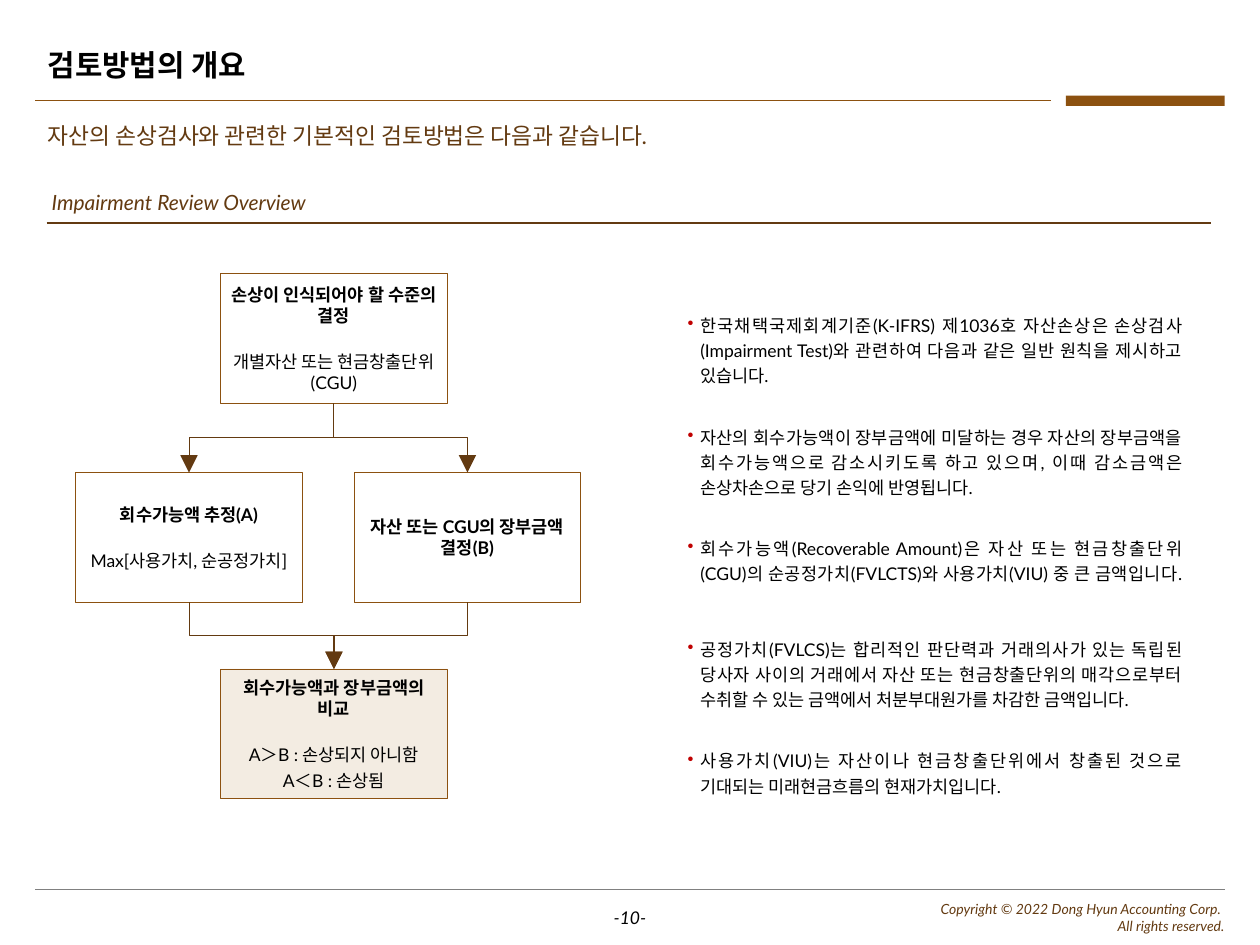
"""Build the impairment review overview slide."""
import pptx
import pptx.util
import pptx.dml.color
import pptx.enum.shapes
import pptx.enum.text
import pptx.oxml
import pptx.oxml.ns

Inches, Pt = pptx.util.Inches, pptx.util.Pt
ALIGN = pptx.enum.text.PP_ALIGN
ANCHOR = pptx.enum.text.MSO_ANCHOR
CONNECTOR = pptx.enum.shapes.MSO_CONNECTOR
RECTANGLE = pptx.enum.shapes.MSO_SHAPE.RECTANGLE

COLORS = {"black": "000000", "brown": "633A11", "accent": "8C5110",
          "cream": "F3ECE2", "gray": "808080", "bullet": "C00000"}
FONT = "Lato"
STEP_SIZE = (1.8, 1.03)
STEP_INSETS = (0.08, 0.05, 0.08, 0.05)
TEXT_INSETS = (0.1, 0.05, 0.1, 0.05)

LABELS = [
    {"at": (0.28, 0.3, 7.09, 0.46), "lines": ["검토방법의 개요"], "size": 17,
     "bold": True, "anchor": ANCHOR.MIDDLE, "spacing": 0.9},
    {"at": (0.28, 0.92, 9.45, 0.32), "size": 13, "color": "brown",
     "lines": ["자산의 손상검사와 관련한 기본적인 검토방법은 다음과 같습니다."]},
    {"at": (0.37, 1.45, 9.24, 0.31), "lines": ["Impairment Review Overview"], "size": 12,
     "color": "brown", "italic": True, "anchor": ANCHOR.MIDDLE,
     "insets": (0.04, 0.05, 0.04, 0.05)},
    {"at": (3.82, 7.15, 2.36, 0.27), "lines": ["-10-"], "size": 10, "italic": True,
     "anchor": ANCHOR.MIDDLE, "align": ALIGN.CENTER},
    {"at": (6.29, 7.15, 3.43, 0.27), "size": 8, "color": "brown", "italic": True,
     "lines": ["Copyright © 2022 Dong Hyun Accounting Corp. ", "All rights reserved."],
     "align": ALIGN.RIGHT, "insets": (0, 0, 0, 0)},
]

RULES = [
    ((0.28, 7.06), (9.72, 7.06), "gray", 0.75),
    ((0.28, 0.8), (8.34, 0.8), "accent", 0.5),
    ((0.37, 1.77), (9.61, 1.77), "brown", 1.25),
]

STEPS = {
    "level": ((1.75, 2.17), None, "손상이 인식되어야 할 수준의 결정",
              ["개별자산 또는 현금창출단위 (CGU)"]),
    "recoverable": ((0.6, 3.75), None, "회수가능액 추정(A)", ["Max[사용가치, 순공정가치]"]),
    "carrying": ((2.81, 3.75), None, "자산 또는 CGU의 장부금액 결정(B)", []),
    "comparison": ((1.75, 5.31), "cream", "회수가능액과 장부금액의 비교",
                   ["A＞B : 손상되지 아니함", "A＜B : 손상됨"]),
}
LINKS = [("level", "recoverable"), ("level", "carrying"),
         ("recoverable", "comparison"), ("carrying", "comparison")]

PRINCIPLES_AT = (5.36, 2.04, 4.12, 4.71)
PRINCIPLES = [
    (0, "한국채택국제회계기준(K-IFRS) 제1036호 자산손상은 손상검사 (Impairment Test)와 "
        "관련하여 다음과 같은 일반 원칙을 제시하고 있습니다."),
    (20.5, "자산의 회수가능액이 장부금액에 미달하는 경우 자산의 장부금액을 회수가능액으로 "
           "감소시키도록 하고 있으며, 이때 감소금액은 손상차손으로 당기 손익에 반영됩니다."),
    (20.5, "회수가능액(Recoverable Amount)은 자산 또는 현금창출단위(CGU)의 "
           "순공정가치(FVLCTS)와 사용가치(VIU) 중 큰 금액입니다.\n"),
    (3, "공정가치(FVLCS)는 합리적인 판단력과 거래의사가 있는 독립된 당사자 사이의 거래에서 "
        "자산 또는 현금창출단위의 매각으로부터 수취할 수 있는 금액에서 처분부대원가를 "
        "차감한 금액입니다."),
    (20.5, "사용가치(VIU)는 자산이나 현금창출단위에서 창출된 것으로 기대되는 "
           "미래현금흐름의 현재가치입니다."),
]


def rgb(name):
    return pptx.dml.color.RGBColor.from_string(COLORS[name])


def add_xml(parent, tag, **attributes):
    element = pptx.oxml.parse_xml(f"<a:{tag} {pptx.oxml.ns.nsdecls('a')}/>")
    for key, value in attributes.items():
        element.set(key, value)
    parent.append(element)
    return element


def set_frame(shape, anchor, insets):
    frame = shape.text_frame
    frame.word_wrap = True
    frame.vertical_anchor = anchor
    (frame.margin_left, frame.margin_top,
     frame.margin_right, frame.margin_bottom) = map(Inches, insets)
    return frame


def next_para(frame, index, align, before=0):
    para = frame.add_paragraph() if index else frame.paragraphs[0]
    para.alignment = align
    if index:
        para.space_before = Pt(before)
    return para


def add_span(para, text, size, color="black", bold=False, italic=False):
    span = para.add_run()
    span.text = text
    font = span.font
    font.name, font.size, font.bold, font.italic = FONT, Pt(size), bold, italic
    font.color.rgb = rgb(color)


def add_label(page, at, lines, size, color="black", bold=False, italic=False,
              anchor=ANCHOR.TOP, align=ALIGN.LEFT, insets=TEXT_INSETS, spacing=1.0):
    box = page.shapes.add_textbox(*map(Inches, at))
    frame = set_frame(box, anchor, insets)
    for index, line in enumerate(lines):
        para = next_para(frame, index, align)
        para.line_spacing = spacing
        add_span(para, line, size, color, bold, italic)


def add_rectangle(page, at, fill=None, line=None):
    box = page.shapes.add_shape(RECTANGLE, *map(Inches, at))
    box.shadow.inherit = False
    if fill:
        box.fill.solid()
        box.fill.fore_color.rgb = rgb(fill)
    else:
        box.fill.background()
    if line:
        box.line.color.rgb = rgb(line)
        box.line.width = Pt(0.5)
    else:
        box.line.fill.background()
    return box


def add_step(page, corner, fill, heading, details):
    box = add_rectangle(page, corner + STEP_SIZE, fill, "accent")
    frame = set_frame(box, ANCHOR.MIDDLE, STEP_INSETS)
    for index, text in enumerate([heading] + details):
        para = next_para(frame, index, ALIGN.CENTER, 14 if index == 1 else 3)
        add_span(para, text, 10, bold=index == 0)


def add_line(page, start, end, color, width, kind=CONNECTOR.STRAIGHT):
    line = page.shapes.add_connector(kind, *map(Inches, start + end))
    line.line.color.rgb = rgb(color)
    line.line.width = Pt(width)
    add_xml(line._element.spPr, "effectLst")
    return line


def add_link(page, source, target):
    (left, top), (target_left, target_top) = STEPS[source][0], STEPS[target][0]
    width, height = STEP_SIZE
    start = (left + width / 2, top + height)
    end = (target_left + width / 2, target_top)
    across, down = end[0] - start[0], end[1] - start[1]
    link = add_line(page, start, end, "brown", 0.5, CONNECTOR.ELBOW)
    link.left = Inches((start[0] + end[0] - down) / 2)
    link.top = Inches((start[1] + end[1] - abs(across)) / 2)
    link.width, link.height = Inches(down), Inches(abs(across))
    frame = link._element.spPr.find(pptx.oxml.ns.qn("a:xfrm"))
    frame.set("rot", str((270 if across > 0 else 90) * 60000))
    frame.set("flipH", "1" if across > 0 else "0")
    add_xml(link.line._get_or_add_ln(), "tailEnd", type="triangle", w="lg", len="lg")


def add_principles(page):
    box = page.shapes.add_textbox(*map(Inches, PRINCIPLES_AT))
    frame = set_frame(box, ANCHOR.MIDDLE, TEXT_INSETS)
    for index, (before, text) in enumerate(PRINCIPLES):
        para = next_para(frame, index, ALIGN.JUSTIFY, before)
        para.line_spacing = 1.2
        properties = para._p.get_or_add_pPr()
        properties.set("marL", str(Inches(0.1)))
        properties.set("indent", str(-Inches(0.1)))
        add_xml(add_xml(properties, "buClr"), "srgbClr", val=COLORS["bullet"])
        add_xml(properties, "buChar", char="•")
        add_span(para, text.rstrip("\n"), 10)
        if text.endswith("\n"):
            para.add_line_break()


def main():
    deck = pptx.Presentation()
    deck.slide_width, deck.slide_height = Inches(10), Inches(7.5)
    page = deck.slides.add_slide(deck.slide_layouts[6])
    for rule in RULES:
        add_line(page, *rule)
    add_rectangle(page, (8.46, 0.76, 1.26, 0.08), "accent")
    for label in LABELS:
        add_label(page, **label)
    for step in STEPS.values():
        add_step(page, *step)
    add_principles(page)
    for link in LINKS:
        add_link(page, *link)
    deck.save("out.pptx")


if __name__ == "__main__":
    main()
